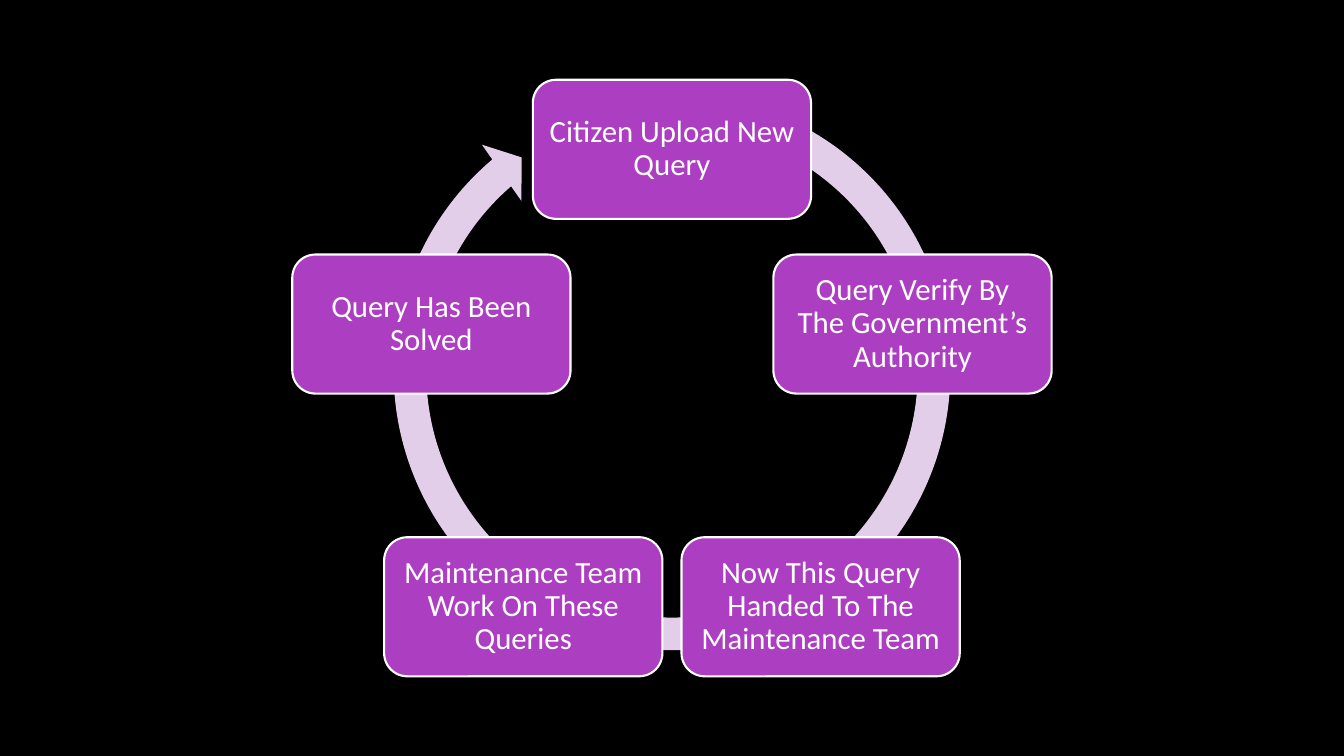
from math import cos, pi, sin

from pptx import Presentation
from pptx.dml.color import RGBColor
from pptx.enum.shapes import MSO_SHAPE
from pptx.enum.text import MSO_ANCHOR, PP_ALIGN
from pptx.util import Inches, Pt


def color(fmt, value):
    """Give a fill a solid colour from a hex string."""
    fmt.solid()
    fmt.fore_color.rgb = RGBColor.from_string(value)


def add_shape(kind, cx, cy, w, h, fill):
    """Add a shadowless shape centred on (cx, cy)."""
    sp = s.shapes.add_shape(kind, int(cx - w / 2), int(cy - h / 2), int(w), int(h))
    sp.shadow.inherit = False
    color(sp.fill, fill)
    return sp


STEPS = [
    "Citizen Upload New Query",
    "Query Verify By The Government’s Authority",
    "Now This Query Handed To The Maintenance Team",
    "Maintenance Team Work On These Queries",
    "Query Has Been Solved",
]

prs = Presentation()
prs.slide_width, prs.slide_height = Inches(13.33), Inches(7.5)
W, H = prs.slide_width, prs.slide_height
s = prs.slides.add_slide(prs.slide_layouts[6])
color(s.background.fill, "000000")

# Cycle arrow behind the steps
size = 0.784 * H
ring = add_shape(MSO_SHAPE.CIRCULAR_ARROW, W / 2, 0.492 * H, size, size, "E3CEE9")
ring.line.fill.background()
for i, value in enumerate([0.055, 3.307, 137.676, 173.91, 0.058]):
    ring.adjustments[i] = value

# Steps evenly spaced clockwise from the top
radius = 0.3345 * H
box_h = 0.184 * H
for i, text in enumerate(STEPS):
    angle = 2 * pi * i / len(STEPS)
    cx = W / 2 + radius * sin(angle)
    cy = 0.532 * H - radius * cos(angle)
    sp = add_shape(MSO_SHAPE.ROUNDED_RECTANGLE, cx, cy, 2 * box_h, box_h, "AC3EC1")
    color(sp.line.fill, "FFFFFF")
    sp.line.width = Pt(1.5)
    tf = sp.text_frame
    tf.word_wrap = True
    tf.vertical_anchor = MSO_ANCHOR.MIDDLE
    tf.margin_left = tf.margin_right = tf.margin_top = tf.margin_bottom = Inches(0.09)
    p = tf.paragraphs[0]
    p.alignment = PP_ALIGN.CENTER
    p.line_spacing = 0.9
    r = p.add_run()
    r.text = text
    r.font.name = "Calibri"
    r.font.size = Pt(22)
    color(r.font.fill, "FFFFFF")

prs.save("out.pptx")
